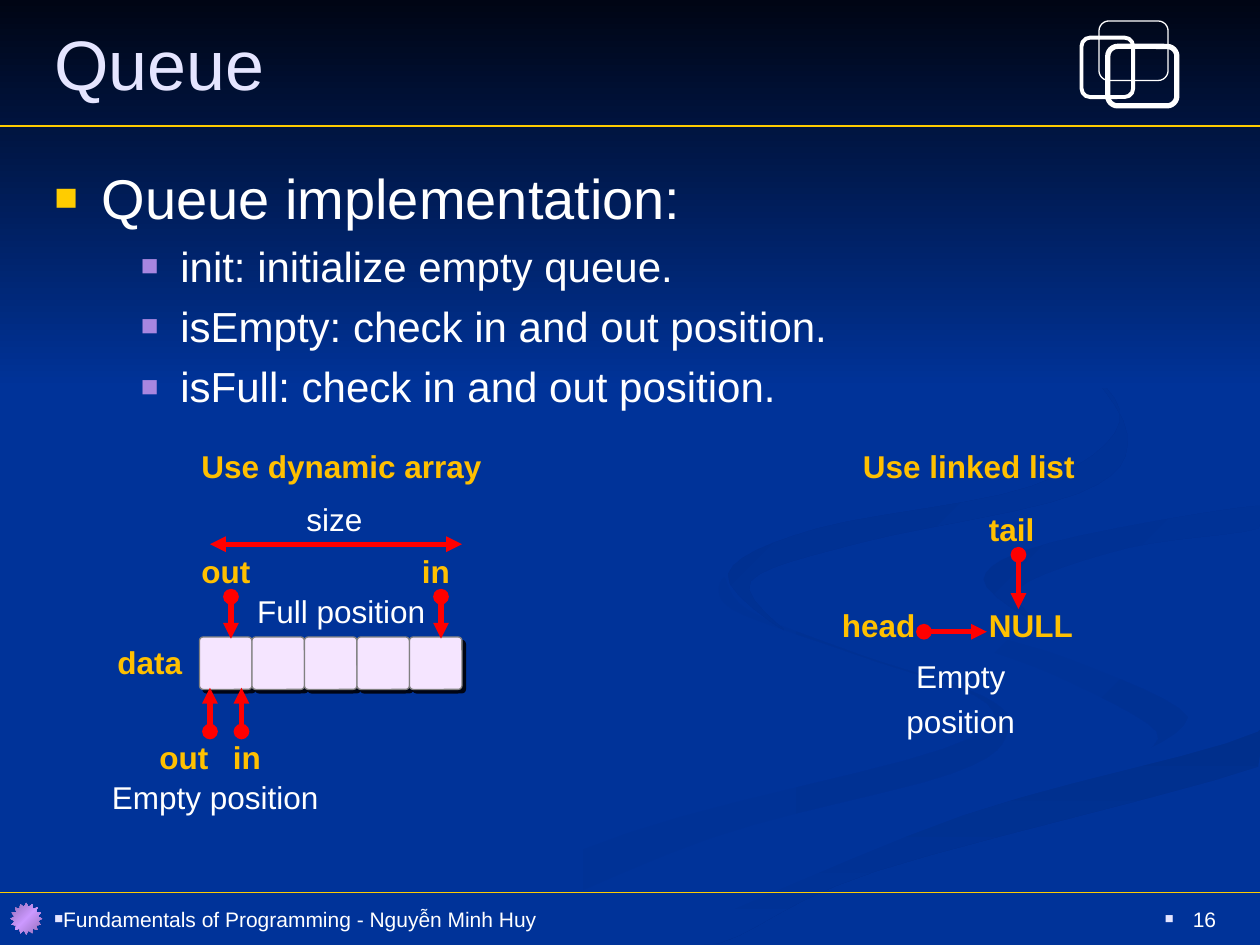
from dataclasses import dataclass
from typing import Optional

from lxml.etree import SubElement
from pptx import Presentation
from pptx.dml.color import RGBColor
from pptx.enum.shapes import MSO_CONNECTOR, MSO_SHAPE
from pptx.enum.text import MSO_ANCHOR, PP_ALIGN
from pptx.oxml.ns import qn
from pptx.util import Pt

WIDTH, HEIGHT = 720, 540
COLORS = {
    "base": "003399", "night": "000514", "gold": "FFCC00", "amber": "FFC000",
    "white": "FFFFFF", "title": "E5E5FF", "lilac": "A886E0", "red": "FF0000",
    "cell": "F5E5FF", "edge": "808080", "violet": "CC99FF", "plum": "926DB6",
    "shade_a": "003193", "shade_b": "002F8C", "shade_c": "003091", "shade_d": "002F8E",
}


@dataclass(frozen=True)
class Bullet:
    color: str
    margin: float
    hang: float


@dataclass(frozen=True)
class Line:
    text: str
    size: float = 18
    color: str = "amber"
    bold: bool = False
    bullet: Optional[Bullet] = None
    before: float = 0


@dataclass(frozen=True)
class Label:
    left: float
    top: float
    width: float
    height: float
    lines: tuple
    align: PP_ALIGN = PP_ALIGN.LEFT
    anchor: MSO_ANCHOR = MSO_ANCHOR.TOP


@dataclass(frozen=True)
class Arrow:
    start: tuple
    end: tuple
    head: str = "oval"
    label: Optional[Label] = None


@dataclass(frozen=True)
class Ribbon:
    stops: tuple
    angle: float
    knots: tuple


def rgb(name: str) -> RGBColor:
    return RGBColor.from_string(COLORS[name])


def paint(shape, stops: tuple = (), angle: float = 0, line: str = "", width: float = 0.75) -> None:
    shape.shadow.inherit = False
    if len(stops) > 1:
        shape.fill.gradient()
        shape.fill.gradient_angle = (360 - angle) % 360
        stop_list = next(shape._element.spPr.iter(qn("a:gsLst")))
        for stop in list(stop_list):
            stop_list.remove(stop)
        for index, name in enumerate(stops):
            position = str(100000 * index // (len(stops) - 1))
            stop = SubElement(stop_list, qn("a:gs"), pos=position)
            SubElement(stop, qn("a:srgbClr"), val=COLORS[name])
    elif stops:
        shape.fill.solid()
        shape.fill.fore_color.rgb = rgb(stops[0])
    else:
        shape.fill.background()
    if line:
        shape.line.color.rgb = rgb(line)
        shape.line.width = Pt(width)
    else:
        shape.line.fill.background()


def blend(a: float, b: float, c: float, d: float, t: float) -> float:
    return b + t / 2 * (c - a + t * (2 * a - 5 * b + 4 * c - d + t * (3 * (b - c) + d - a)))


def smooth_outline(knots: tuple, steps: int = 6) -> list:
    outline = []
    for index in range(len(knots)):
        near = [knots[(index + offset) % len(knots)] for offset in (-1, 0, 1, 2)]
        for step in range(steps):
            x, y = (blend(*values, step / steps) for values in zip(*near))
            outline.append((Pt(min(x, WIDTH)), Pt(min(y, HEIGHT))))
    return outline


def add_ribbon(page, ribbon: Ribbon) -> None:
    outline = smooth_outline(ribbon.knots)
    builder = page.shapes.build_freeform(*outline[0])
    builder.add_line_segments(outline[1:], close=True)
    paint(builder.convert_to_shape(), ribbon.stops, ribbon.angle)


def add_preset(page, kind: MSO_SHAPE, left: float, top: float, width: float, height: float):
    return page.shapes.add_shape(kind, Pt(left), Pt(top), Pt(width), Pt(height))


def add_line(page, start: tuple, end: tuple, color: str, width: float):
    places = [Pt(value) for value in (*start, *end)]
    connector = page.shapes.add_connector(MSO_CONNECTOR.STRAIGHT, *places)
    connector.line.color.rgb = rgb(color)
    connector.line.width = Pt(width)
    SubElement(connector._element.spPr, qn("a:effectLst"))
    return connector


def add_arrow(page, arrow: Arrow, boxes: dict) -> None:
    connector = add_line(page, arrow.start, arrow.end, "red", 3)
    outline = connector.line._get_or_add_ln()
    SubElement(outline, qn("a:headEnd"), type=arrow.head)
    SubElement(outline, qn("a:tailEnd"), type="triangle")
    if arrow.label:
        connector.begin_connect(boxes[arrow.label], 2)


def add_bullet(para, bullet: Bullet) -> None:
    properties = para._p.get_or_add_pPr()
    properties.set("marL", str(Pt(bullet.margin)))
    properties.set("indent", str(-Pt(bullet.hang)))
    color = SubElement(properties, qn("a:buClr"))
    SubElement(color, qn("a:srgbClr"), val=COLORS[bullet.color])
    SubElement(properties, qn("a:buSzPct"), val="70000")
    SubElement(properties, qn("a:buFont"), typeface="Arial")
    SubElement(properties, qn("a:buChar"), char="■")


def add_label(page, label: Label):
    box = page.shapes.add_textbox(Pt(label.left), Pt(label.top), Pt(label.width), Pt(label.height))
    frame = box.text_frame
    frame.word_wrap = True
    frame.vertical_anchor = label.anchor
    for index, line in enumerate(label.lines):
        para = frame.add_paragraph() if index else frame.paragraphs[0]
        if line.bullet:
            add_bullet(para, line.bullet)
        para.alignment = label.align
        if line.before:
            para.space_before = Pt(line.before)
        span = para.add_run()
        span.text = line.text
        span.font.name = "Arial"
        span.font.size = Pt(line.size)
        span.font.bold = line.bold
        span.font.color.rgb = rgb(line.color)
    return box


def tag(text: str, left: float, top: float, width: float = 48) -> Label:
    return Label(left, top, width, 29, (Line(text, bold=True),))


def caption(left: float, top: float, width: float, height: float, *texts: str) -> Label:
    lines = tuple(Line(text, color="white", before=4 if i else 0) for i, text in enumerate(texts))
    return Label(left, top, width, height, lines, PP_ALIGN.CENTER)


RIBBONS = (
    Ribbon(("base", "shade_a"), 0, (
        (562, 398), (491, 374), (428, 349), (414, 330), (418, 348), (489, 374), (564, 402),
        (539, 428), (359, 476), (216, 539), (260, 539), (406, 479), (544, 442), (576, 418))),
    Ribbon(("base", "shade_a"), 45, (
        (679, 410), (612, 377), (536, 353), (521, 334), (537, 360), (603, 386), (661, 418), (644, 436))),
    Ribbon(("shade_b", "base"), 90, (
        (362, 539), (411, 539), (500, 498), (719, 438), (719, 418), (550, 466), (454, 499))),
    Ribbon(("base",), 0, (
        (522, 334), (536, 353), (640, 385), (679, 410), (626, 440), (477, 481), (343, 539), (374, 538),
        (550, 466), (719, 418), (719, 387), (611, 362), (562, 333), (601, 310), (719, 289), (719, 279),
        (567, 304))),
    Ribbon(("shade_c", "base"), 45, (
        (562, 331), (595, 357), (582, 336), (645, 313), (719, 302), (719, 289), (601, 310))),
    Ribbon(("shade_d", "base"), 45, (
        (492, 310), (616, 282), (644, 248), (607, 198), (549, 168), (609, 201), (640, 241), (589, 278),
        (467, 302), (416, 328), (448, 360), (429, 332))),
)
FRAMES = ((618, 21.5, 29.5, 34, 2.25), (628, 12, 39.5, 34, 0.75), (633, 26.5, 39.5, 34, 3))
OPERATIONS = (
    "init: initialize empty queue.",
    "isEmpty: check in and out position.",
    "isFull: check in and out position.",
)
BODY = (Line("Queue implementation:", 32, "white", bullet=Bullet("gold", 27, 27)),) + tuple(
    Line(text, 24, "white", bullet=Bullet("lilac", 72, 22.5), before=5.5) for text in OPERATIONS
)
FOOTER = Line("Fundamentals of Programming - Nguyễn Minh Huy", 12, "white", bullet=Bullet("title", 0, 0))
NUMBER = Line("16", 12, "white", bullet=Bullet("title", 16, 16))
FULL_OUT = tag("out", 108, 312)
TAIL = tag("tail", 558, 288)
LABELS = (
    Label(24, 0, 678, 72, (Line("Queue", 40, "title"),), anchor=MSO_ANCHOR.MIDDLE),
    Label(24, 90, 678, 408, BODY),
    Label(534, 510, 168, 30, (NUMBER,), PP_ALIGN.RIGHT, MSO_ANCHOR.MIDDLE),
    Label(24, 510, 498, 30, (FOOTER,), anchor=MSO_ANCHOR.MIDDLE),
    tag("Use dynamic array", 108, 252, 192), tag("Use linked list", 486, 252, 138),
    tag("head", 474, 343, 60), tag("NULL", 558, 343, 66), TAIL,
    tag("data", 60, 364, 60), tag("out", 84, 418), tag("in", 126, 418),
    FULL_OUT, tag("in", 234, 312),
    Label(168, 282, 48, 29, (Line("size", color="white"),)),
    caption(48, 441, 150, 30, "Empty position"),
    caption(120, 335, 150, 30, "Full position"),
    caption(510, 372, 78, 54, "Empty", "position"),
)
ARROWS = (
    Arrow((528, 361), (564, 361)), Arrow((582, 317), (582, 348), label=TAIL),
    *(Arrow((x, 418), (x, 393)) for x in (120, 138)),
    Arrow((132, 341), (132, 365), label=FULL_OUT), Arrow((252, 341), (252, 365)),
    Arrow((120, 311), (264, 311), "triangle"),
)


def add_cell(page, left: float) -> None:
    cell = add_preset(page, MSO_SHAPE.ROUNDED_RECTANGLE, left, 364, 30, 30)
    cell.adjustments[0] = 0.07
    paint(cell, ("cell",), line="edge")
    effects = cell._element.spPr.find(qn("a:effectLst"))
    shadow = SubElement(effects, qn("a:outerShdw"), dist=str(Pt(2.8)), dir="2700000", algn="ctr", rotWithShape="0")
    SubElement(shadow, qn("a:srgbClr"), val=COLORS["night"])


def main() -> None:
    deck = Presentation()
    deck.slide_width, deck.slide_height = Pt(WIDTH), Pt(HEIGHT)
    page = deck.slides.add_slide(deck.slide_layouts[6])
    page.background.fill.solid()
    page.background.fill.fore_color.rgb = rgb("base")
    for ribbon in RIBBONS:
        add_ribbon(page, ribbon)
    paint(add_preset(page, MSO_SHAPE.RECTANGLE, 0, 0, WIDTH, 222), ("night", "base"), 90)
    for height in (72, 510):
        add_line(page, (0, height), (WIDTH, height), "gold", 0.75)
    for *place, width in FRAMES:
        frame = add_preset(page, MSO_SHAPE.FLOWCHART_ALTERNATE_PROCESS, *place)
        paint(frame, line="white", width=width)
    star = add_preset(page, MSO_SHAPE.STAR_16_POINT, 6, 516, 18, 18)
    paint(star, ("plum", "violet", "plum"), 45)
    for index in range(5):
        add_cell(page, 114 + 30 * index)
    boxes = {label: add_label(page, label) for label in LABELS}
    for arrow in ARROWS:
        add_arrow(page, arrow, boxes)
    deck.save("out.pptx")


if __name__ == "__main__":
    main()
